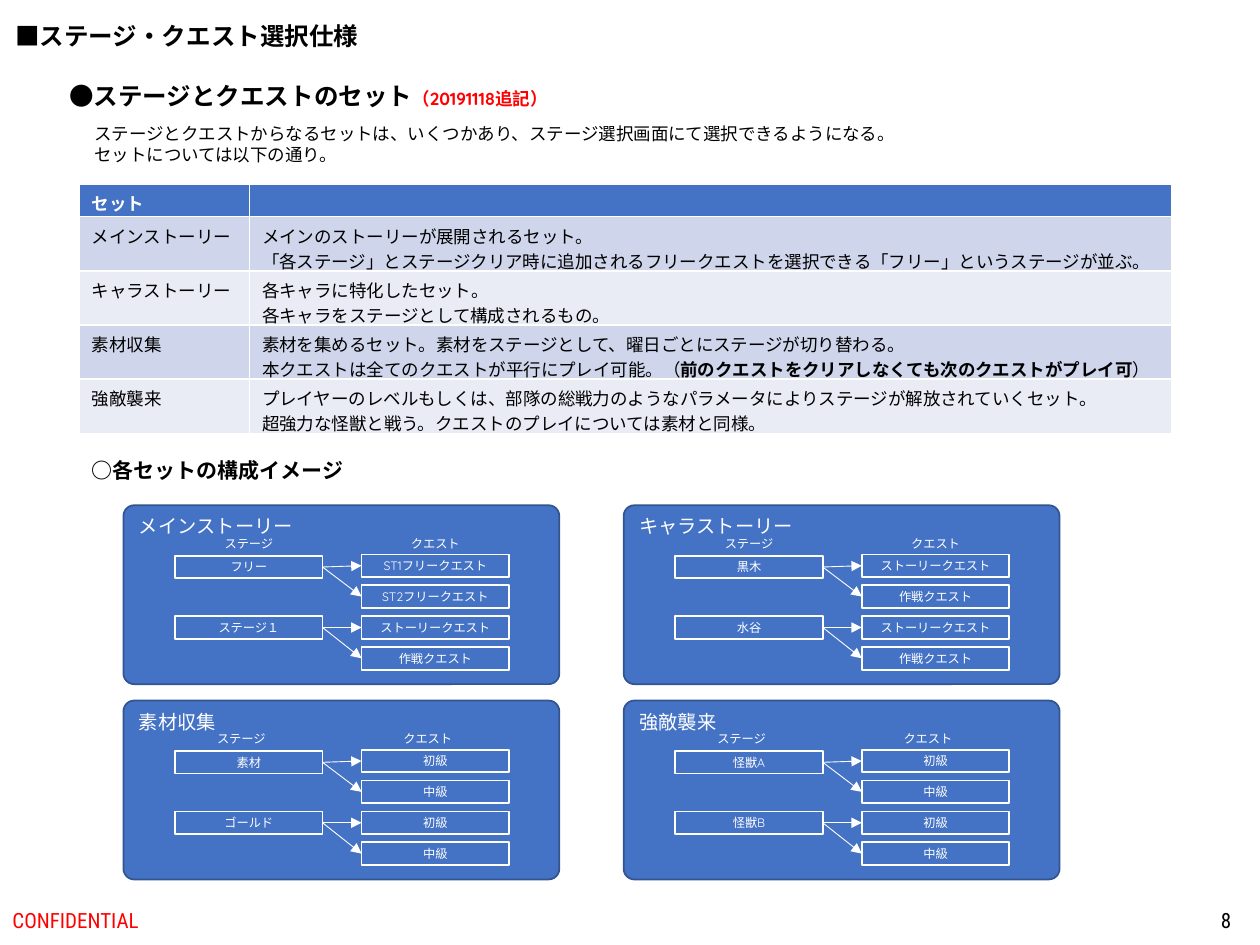
from lxml import etree
from pptx import Presentation
from pptx.dml.color import RGBColor
from pptx.enum.shapes import MSO_CONNECTOR, MSO_SHAPE
from pptx.enum.text import MSO_ANCHOR, MSO_AUTO_SIZE, PP_ALIGN
from pptx.oxml.ns import qn
from pptx.util import Inches, Pt

RECT, ROUND = MSO_SHAPE.RECTANGLE, MSO_SHAPE.ROUNDED_RECTANGLE
LINE = MSO_CONNECTOR.STRAIGHT
TOP, MIDDLE = MSO_ANCHOR.TOP, MSO_ANCHOR.MIDDLE
LEFT, CENTER, RIGHT = PP_ALIGN.LEFT, PP_ALIGN.CENTER, PP_ALIGN.RIGHT
GROW = MSO_AUTO_SIZE.SHAPE_TO_FIT_TEXT

COLORS = {"text": "000000", "white": "FFFFFF", "red": "FF0000", "blue": "4472C4",
          "edge": "325491", "odd": "CFD5EA", "even": "E9EBF5"}
FONT = "Quicksand"

SETS = [
    ("メインストーリー", [
        ["メインのストーリーが展開されるセット。"],
        ["「各ステージ」とステージクリア時に追加されるフリークエストを選択できる「フリー」というステージが並ぶ。"]]),
    ("キャラストーリー", [
        ["各キャラに特化したセット。"],
        ["各キャラをステージとして構成されるもの。"]]),
    ("素材収集", [
        ["素材を集めるセット。素材をステージとして、曜日ごとにステージが切り替わる。"],
        ["本クエストは全てのクエストが平行にプレイ可能。（",
         "前のクエストをクリアしなくても次のクエストがプレイ可", "）"]]),
    ("強敵襲来", [
        ["プレイヤーのレベルもしくは、部隊の総戦力のようなパラメータによりステージが解放されていくセット。"],
        ["超強力な怪獣と戦う。クエストのプレイについては素材と同様。"]]),
]
STORY = ["ストーリークエスト", "作戦クエスト"]
GRADES = ["初級", "中級"]
# Stages with their quests, in the order of SETS
STAGES = [
    [("フリー", ["ST1フリークエスト", "ST2フリークエスト"]), ("ステージ１", STORY)],
    [("黒木", STORY), ("水谷", STORY)],
    [("素材", GRADES), ("ゴールド", GRADES)],
    [("怪獣A", GRADES), ("怪獣B", GRADES)],
]


def rgb(name):
    return RGBColor.from_string(COLORS[name])


def write(frame, paras, size, color="text", bold=False, font=FONT,
          align=LEFT, anchor=TOP):
    """Fill a text frame; each paragraph is a list of run texts."""
    frame.vertical_anchor = anchor
    for i, runs in enumerate(paras):
        para = frame.add_paragraph() if i else frame.paragraphs[0]
        for text in runs:
            para.add_run().text = text
        para.alignment = align
        para.font.name, para.font.size, para.font.bold = font, Pt(size), bold
        para.font.color.rgb = rgb(color)


def add_text(shapes, box, paras, size, wrap=True, **style):
    frame = shapes.add_textbox(*map(Inches, box)).text_frame
    frame.word_wrap = wrap
    if not wrap:
        frame.auto_size = GROW
    write(frame, paras, size, **style)
    return frame


def add_box(shapes, kind, box, text, size, edge, **style):
    shape = shapes.add_shape(kind, *map(Inches, box))
    shape.shadow.inherit = False
    shape.fill.solid()
    shape.fill.fore_color.rgb = rgb("blue")
    shape.line.color.rgb = rgb(edge)
    shape.line.width = Pt(1)
    write(shape.text_frame, [[text]], size, color="white", **style)
    return shape


def add_arrow(shapes, start, end):
    """Point from the right side of one box to the left side of another."""
    arrow = shapes.add_connector(LINE, 0, 0, 0, 0)
    arrow.begin_connect(start, 3)
    arrow.end_connect(end, 1)
    arrow.line.color.rgb = rgb("white")
    arrow.line.width = Pt(0.5)
    etree.SubElement(arrow.line._get_or_add_ln(), qn("a:tailEnd"), type="triangle")
    etree.SubElement(arrow._element.spPr, qn("a:effectLst"))


def add_title(slide, box):
    title = slide.shapes.title
    title.left, title.top, title.width, title.height = map(Inches, box)
    title.text_frame.word_wrap = False
    title.text_frame.auto_size = GROW
    write(title.text_frame, [["■ステージ・クエスト選択仕様"]], 14, bold=True, font="Arial")


def add_intro(shapes, left, top):
    head = add_text(shapes, (left, top, 4.27, 0.34),
                    [["●ステージとクエストのセット", "（20191118追記）"]],
                    14, wrap=False, bold=True)
    note = head.paragraphs[0].runs[1].font
    note.size = Pt(10)
    note.color.rgb = rgb("red")
    add_text(shapes, (left + 0.2, top + 0.34, 6.65, 0.44),
             [["ステージとクエストからなるセットは、いくつかあり、ステージ選択画面にて選択できるようになる。"],
              ["セットについては以下の通り。"]], 10, wrap=False)


def add_sets(shapes, box):
    table = shapes.add_table(len(SETS) + 1, 2, *map(Inches, box)).table
    for col, width in zip(table.columns, (1.35, 7.32)):
        col.width = Inches(width)
    rows = [("セット", [])] + SETS
    for i, (name, lines) in enumerate(rows):
        table.rows[i].height = Inches(0.43 if i else 0.26)
        fill = ("odd" if i % 2 else "even") if i else "blue"
        for cell, paras in zip(table.rows[i].cells, ([[name]], lines)):
            cell.margin_bottom = 0
            cell.fill.solid()
            cell.fill.fore_color.rgb = rgb(fill)
            write(cell.text_frame, paras or [[]], 10,
                  color="text" if i else "white", bold=not i)
            for para in cell.text_frame.paragraphs:
                for run in para.runs[1:2]:
                    run.font.bold = True


def add_panel(slide, box, name, stages, shift):
    """Draw one set as stages linked to quests; shift moves the column heads."""
    shapes = slide.shapes.add_group_shape().shapes
    left, top = box[:2]
    mid = {"align": CENTER, "anchor": MIDDLE}
    size = (1.17, 0.18)
    near, far = left + 0.41, left + 1.89
    panel = add_box(shapes, ROUND, box, name, 11, "edge")
    panel.adjustments[0] = 0.06
    for x, head in ((near, "ステージ"), (far, "クエスト")):
        add_text(shapes, (x + shift, top + 0.21, *size), [[head]], 7,
                 color="white", **mid)
    for i, (stage, quests) in enumerate(stages):
        start = add_box(shapes, RECT, (near, top + 0.4 + 0.48 * i, *size),
                        stage, 7, "white", **mid)
        for j, quest in enumerate(quests):
            y = top + 0.39 + 0.49 * (i + j / 2)
            end = add_box(shapes, RECT, (far, y, *size), quest, 7, "white", **mid)
            add_arrow(shapes, start, end)


def add_panels(slide, left, top):
    add_text(slide.shapes, (left - 0.35, top - 0.43, 2.22, 0.3),
             [["○各セットの構成イメージ"]], 12, wrap=False, bold=True)
    for i, ((name, _), stages) in enumerate(zip(SETS, STAGES)):
        row, col = divmod(i, 2)
        box = (left + 3.97 * col, top + 1.55 * row, 3.46, 1.42)
        add_panel(slide, box, name, stages, -0.06 * row)


def add_footer(shapes, top):
    style = {"font": "Roboto Condensed", "anchor": MIDDLE}
    add_text(shapes, (0, top, 3.38, 0.4), [["CONFIDENTIAL"]], 12, color="red", **style)
    add_text(shapes, (7.62, top, 2.25, 0.4), [["8"]], 12, align=RIGHT, **style)


def main():
    deck = Presentation()
    deck.slide_width, deck.slide_height = Inches(10), Inches(7.5)
    slide = deck.slides.add_slide(deck.slide_layouts[5])
    add_title(slide, (0.02, 0.12, 2.95, 0.34))
    add_footer(slide.shapes, 7.1)
    add_intro(slide.shapes, 0.45, 0.59)
    add_sets(slide.shapes, (0.63, 1.46, 8.67, 2))
    add_panels(slide, 0.98, 4.01)
    deck.save("out.pptx")


if __name__ == "__main__":
    main()
